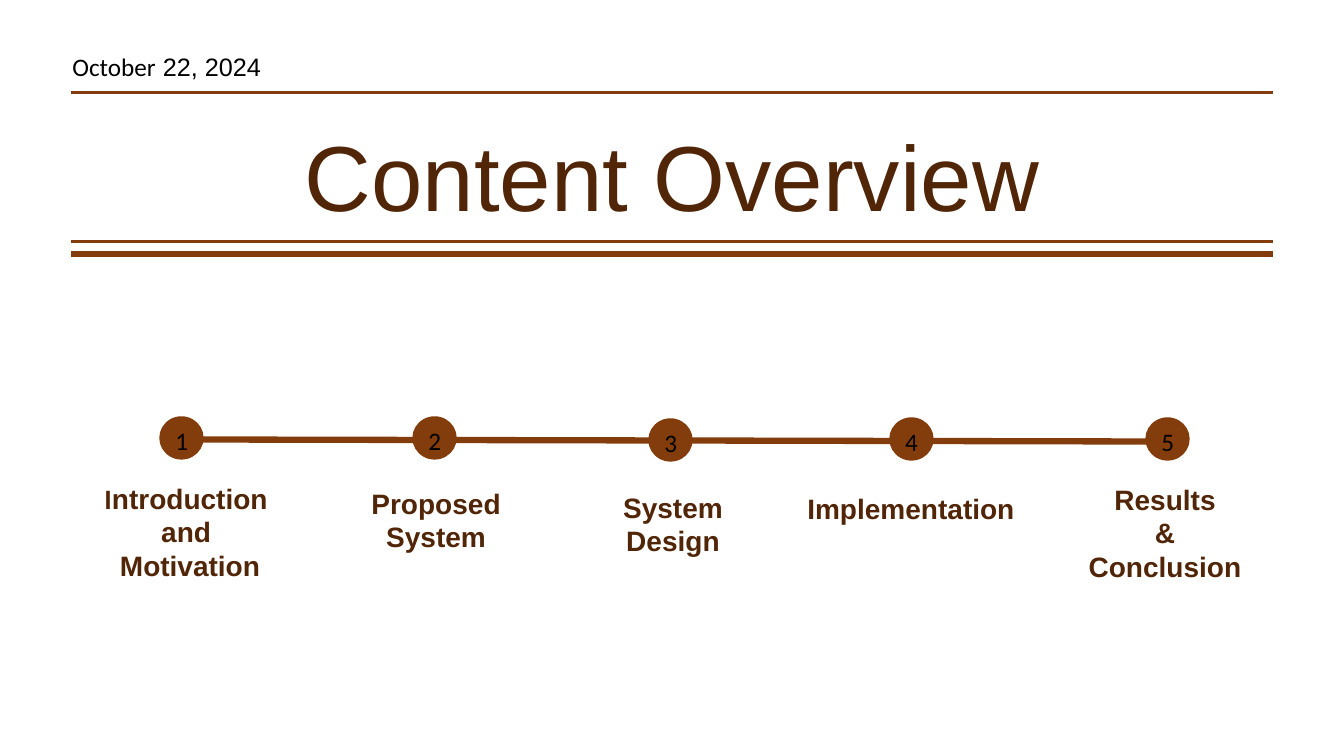
from pptx import Presentation
from pptx.dml.color import RGBColor
from pptx.enum.shapes import MSO_CONNECTOR, MSO_SHAPE
from pptx.enum.text import MSO_ANCHOR, MSO_AUTO_SIZE, PP_ALIGN
from pptx.oxml.ns import qn
from pptx.util import Inches, Pt
from lxml import etree

LINE = MSO_CONNECTOR.STRAIGHT
OVAL = MSO_SHAPE.OVAL
LEFT, CENTER = PP_ALIGN.LEFT, PP_ALIGN.CENTER
TOP, MIDDLE = MSO_ANCHOR.TOP, MSO_ANCHOR.MIDDLE
GROW = MSO_AUTO_SIZE.SHAPE_TO_FIT_TEXT

BROWN, DARK, BLACK = "833C0B", "512507", "000000"

# Circle left and top, label left and top, label line count, label runs
STEPS = [
    (1.58, 4.13, 0.73, 4.77, 3,
     [("I", "Calibri"), ("ntroduction \nand \nMotivation", "Arial")]),
    (4.09, 4.13, 3.17, 4.82, 2, [("Proposed System", "Arial")]),
    (6.43, 4.15, 5.52, 4.86, 2, [("System\nDesign", "Arial")]),
    (8.82, 4.14, 7.88, 4.87, 1, [("Implementation", "Arial")]),
    (11.36, 4.14, 10.4, 4.78, 3, [("Results\n&\nConclusion", "Arial")]),
]


def color(code):
    return RGBColor.from_string(code)


def add_line(shapes, x1, y1, x2, y2, width):
    line = shapes.add_connector(
        LINE, Inches(x1), Inches(y1), Inches(x2), Inches(y2))
    line.line.color.rgb = color(BROWN)
    line.line.width = Pt(width)
    etree.SubElement(line._element.spPr, qn("a:effectLst"))


def add_text(shapes, box, runs, size, ink,
             align=LEFT, bold=False, anchor=TOP, inset=True):
    frame = shapes.add_textbox(*map(Inches, box)).text_frame
    frame.word_wrap = True
    frame.auto_size = GROW
    frame.vertical_anchor = anchor
    if not inset:
        frame.margin_left = frame.margin_right = 0
        frame.margin_top = frame.margin_bottom = 0
    para = frame.paragraphs[0]
    para.alignment = align
    para.font.size = Pt(size)
    para.font.bold = bold
    para.font.color.rgb = color(ink)
    para.font.name = runs[-1][1]
    for words, font in runs:
        for row, part in enumerate(words.split("\n")):
            if row:
                para.add_line_break()
            run = para.add_run()
            run.text = part
            # Line breaks and runs share one size so rows stay even
            run.font.size = Pt(size)
            run.font.name = font
    for item in para._p.findall(qn("a:br")):
        etree.SubElement(item, qn("a:rPr"), sz=str(size * 100))


def add_header(shapes, x, y, width):
    """Date, title and the rules around them."""
    add_text(shapes, (x - 0.08, y, 3.33, 0.4),
             [("October", "Calibri"), (" 22, 2024", "Arial")], 18, BLACK)
    add_text(shapes, (x + 0.92, y + 0.67, 10.09, 1.21),
             [("Content Overview", "Arial")], 66, DARK, CENTER)
    for drop, weight in [(0.46, 2.25), (1.94, 2.25), (2.06, 4.5)]:
        add_line(shapes, x, y + drop, x + width, y + drop, weight)


def add_steps(shapes):
    """Numbered circles on one line, each with a label below."""
    track = shapes.add_group_shape().shapes
    add_line(track, 1.89, 4.36, 11.45, 4.38, 4.5)
    for num, (x, y, left, top, rows, label) in enumerate(STEPS, 1):
        dot = track.add_shape(
            OVAL, Inches(x), Inches(y), Inches(0.44), Inches(0.43))
        dot.shadow.inherit = False
        dot.fill.solid()
        dot.fill.fore_color.rgb = color(BROWN)
        dot.line.fill.background()
        add_text(shapes, (left, top, 2.31, rows * 0.336), label, 20, DARK,
                 CENTER, True, MIDDLE, False)
        add_text(shapes, (x + 0.06, y + 0.04, 0.37, 0.34),
                 [(str(num), "Calibri")], 18, BLACK)


def main():
    deck = Presentation()
    deck.slide_width, deck.slide_height = Inches(13.33), Inches(7.5)
    slide = deck.slides.add_slide(deck.slide_layouts[6])
    add_header(slide.shapes, 0.7, 0.46, 11.93)
    add_steps(slide.shapes)
    deck.save("out.pptx")


if __name__ == "__main__":
    main()
